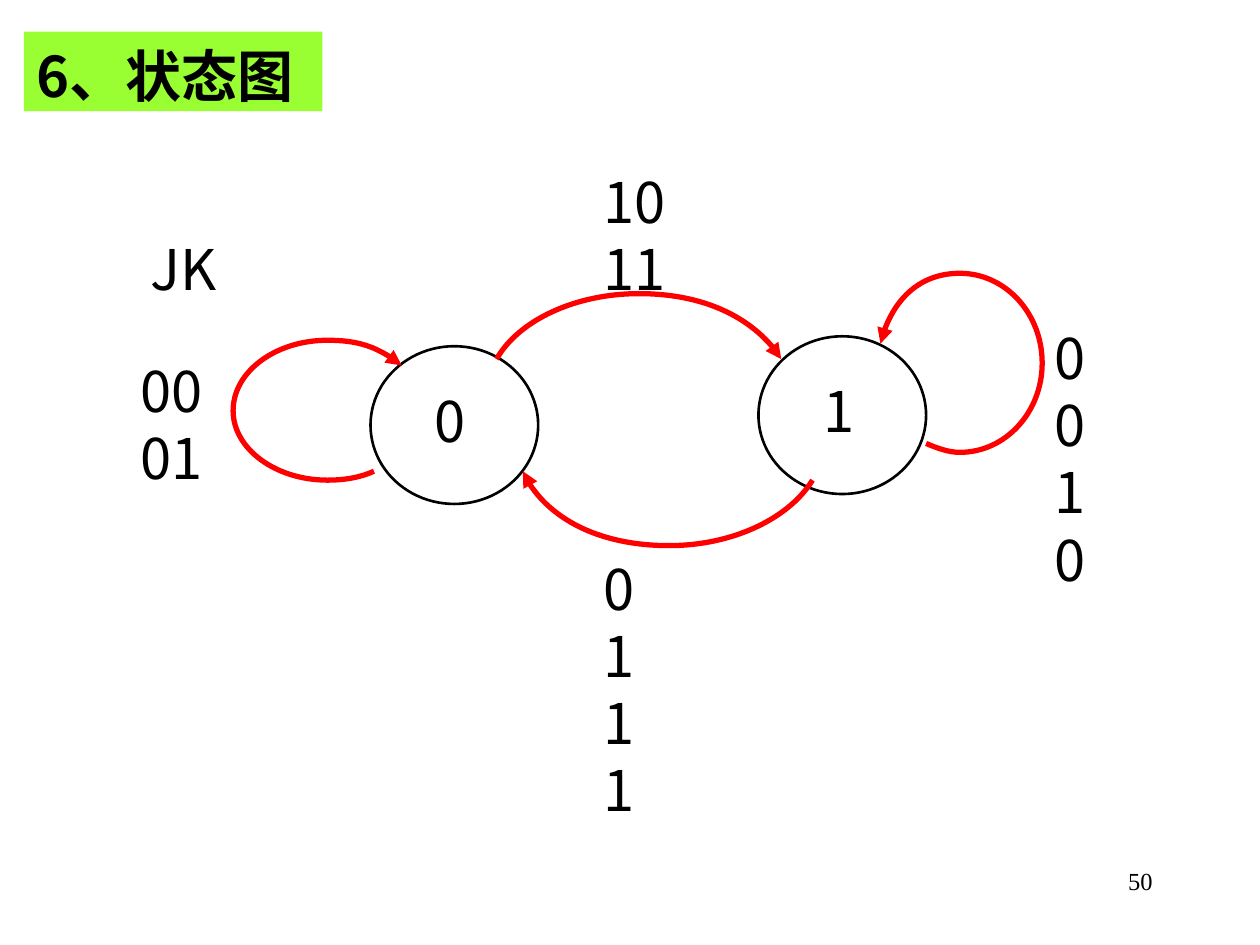
import pptx
import pptx.util
import pptx.dml.color
import pptx.enum.shapes
import pptx.enum.text
import pptx.oxml
import pptx.oxml.ns
from dataclasses import dataclass
from pptx.util import Cm


@dataclass(frozen=True)
class Theme:
    ink: str = "000000"
    arrow: str = "FF0000"
    banner: str = "99FF33"
    font: str = "Noto Sans CJK SC"
    number_font: str = "Times New Roman"
    size: float = 32
    leading: float = 38.4
    number_size: float = 14
    outline: float = 1.5
    arrow_width: float = 3


THEME = Theme()
TITLE = ("6、状态图", (0.48, 0.64, 6.02, 1.6))
PAGE_NUMBER = ("50", (18.21, 17.35, 5.28, 1.27))
STATE_SIZE = (3.38, 3.18)
STATES = [
    ("0", (7.47, 6.98), (8.51, 7.59)),
    ("1", (15.29, 6.78), (16.36, 7.39)),
]
LABELS = [
    (["JK"], (2.79, 4.52, 3.33, 1.6)),
    (["00", "01"], (2.59, 6.98, 2.69, 2.97)),
    (["10", "11"], (11.91, 3.18, 3.81, 2.97)),
    (["00", "10"], (21.01, 6.32, 1.65, 2.97)),
    (["01", "11"], (11.91, 10.97, 1.65, 2.97)),
]
TRANSITIONS = {
    "hold 0": [(7.54, 9.5), (7.26, 9.63), (6.93, 9.68), (6.6, 9.68),
               (5.56, 9.68), (4.7, 9.05), (4.7, 8.28),
               (4.7, 7.49), (5.56, 6.86), (6.6, 6.86),
               (7.19, 6.86), (7.72, 7.04), (8.1, 7.37)],
    "set": [(10.01, 7.24), (10.46, 6.45), (11.61, 5.92), (12.88, 5.92),
            (14.12, 5.92), (15.27, 6.45), (15.75, 7.24)],
    "hold 1": [(18.67, 8.94), (18.9, 9.04), (19.13, 9.12), (19.35, 9.12),
               (20.27, 9.12), (21.01, 8.31), (21.01, 7.32),
               (21.01, 6.32), (20.27, 5.51), (19.35, 5.51),
               (18.59, 5.51), (17.93, 6.1), (17.75, 6.93)],
    "reset": [(16.38, 9.68), (15.9, 10.46), (14.76, 11), (13.49, 11),
              (12.14, 11), (10.92, 10.39), (10.54, 9.5)],
}


def colour(value):
    return pptx.dml.color.RGBColor.from_string(value)


def element(tag, **attributes):
    node = pptx.oxml.parse_xml(f"<a:{tag} {pptx.oxml.ns.nsdecls('a')}/>")
    for name, value in attributes.items():
        node.set(name, value)
    return node


def write(box, lines, font=THEME.font, size=THEME.size, leading=THEME.leading,
          align=pptx.enum.text.PP_ALIGN.LEFT, bold=False, top=0.2):
    frame = box.text_frame
    frame.text = "\n".join(lines)
    frame.word_wrap = True
    frame.auto_size = pptx.enum.text.MSO_AUTO_SIZE.NONE
    frame.vertical_anchor = pptx.enum.text.MSO_ANCHOR.TOP
    frame.margin_left = frame.margin_right = Cm(0.25)
    frame.margin_top, frame.margin_bottom = Cm(top), Cm(0)
    for para in frame.paragraphs:
        para.alignment = align
        para.line_spacing = pptx.util.Pt(leading)
        for span in para.runs:
            span.font.name = font
            span.font.size = pptx.util.Pt(size)
            span.font.bold = bold
            span.font.color.rgb = colour(THEME.ink)
            span.font._element.find(pptx.oxml.ns.qn("a:latin")).addnext(
                element("ea", typeface=font))


def add_text(page, lines, place, **style):
    box = page.shapes.add_textbox(*map(Cm, place))
    write(box, lines, **style)


def outline(shape, value, width):
    shape.shadow.inherit = False
    shape.fill.background()
    shape.line.color.rgb = colour(value)
    shape.line.width = pptx.util.Pt(width)


def add_state(page, name, corner, label_corner):
    circle = page.shapes.add_shape(
        pptx.enum.shapes.MSO_SHAPE.OVAL, *map(Cm, corner + STATE_SIZE))
    outline(circle, THEME.ink, THEME.outline)
    add_text(page, [name], label_corner + (1.07, 1.6))


def add_transition(page, points):
    start, *rest = [(Cm(x), Cm(y)) for x, y in points]
    builder = page.shapes.build_freeform(*start)
    builder.add_line_segments(rest, close=False)
    curve = builder.convert_to_shape()
    outline(curve, THEME.arrow, THEME.arrow_width)
    curve.line._get_or_add_ln().append(element("tailEnd", type="triangle"))
    segments = list(curve._element.iter(pptx.oxml.ns.qn("a:lnTo")))
    for first in range(0, len(segments), 3):
        bezier = element("cubicBezTo")
        segments[first].addprevious(bezier)
        for segment in segments[first:first + 3]:
            bezier.append(segment[0])
            segment.getparent().remove(segment)


def main():
    deck = pptx.Presentation()
    deck.slide_width, deck.slide_height = Cm(25.4), Cm(19.05)
    page = deck.slides.add_slide(deck.slide_layouts[5])

    text, place = TITLE
    title = page.shapes.title
    title.left, title.top, title.width, title.height = map(Cm, place)
    title.fill.solid()
    title.fill.fore_color.rgb = colour(THEME.banner)
    write(title, [text], bold=True)

    for state in STATES:
        add_state(page, *state)
    for points in TRANSITIONS.values():
        add_transition(page, points)
    for lines, place in LABELS:
        add_text(page, lines, place)

    text, place = PAGE_NUMBER
    add_text(page, [text], place, font=THEME.number_font,
             size=THEME.number_size, leading=THEME.number_size * 1.15,
             align=pptx.enum.text.PP_ALIGN.RIGHT, top=0.13)
    deck.save("out.pptx")


if __name__ == "__main__":
    main()
